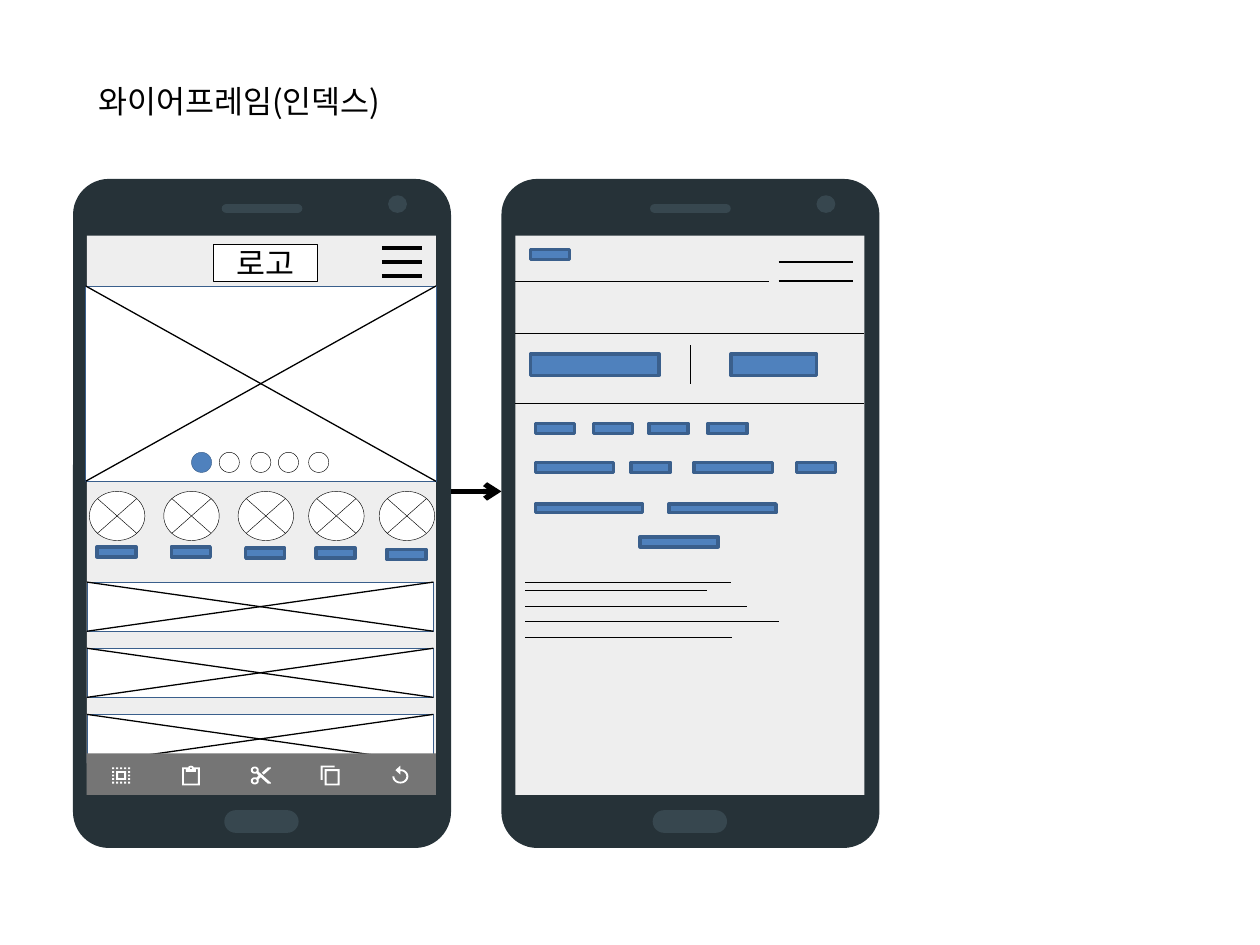
import math
from collections import namedtuple

from lxml import etree
from pptx import Presentation
from pptx.dml.color import RGBColor
from pptx.enum.shapes import MSO_CONNECTOR, MSO_SHAPE
from pptx.enum.text import MSO_ANCHOR, MSO_AUTO_SIZE, PP_ALIGN
from pptx.oxml.ns import qn
from pptx.util import Inches, Pt

RECT, OVAL = MSO_SHAPE.RECTANGLE, MSO_SHAPE.OVAL
ROUNDED, CROSSED = MSO_SHAPE.ROUNDED_RECTANGLE, MSO_SHAPE.FLOWCHART_SUMMING_JUNCTION
STRAIGHT = MSO_CONNECTOR.STRAIGHT
LEFT, CENTER = PP_ALIGN.LEFT, PP_ALIGN.CENTER
TOP, MIDDLE = MSO_ANCHOR.TOP, MSO_ANCHOR.MIDDLE
FIT_SHAPE, NO_FIT = MSO_AUTO_SIZE.SHAPE_TO_FIT_TEXT, MSO_AUTO_SIZE.NONE

BLACK, WHITE = RGBColor(0, 0, 0), RGBColor(255, 255, 255)
CASE, TRIM = RGBColor(0x26, 0x32, 0x38), RGBColor(0x37, 0x47, 0x4F)
SCREEN, TOOLBAR = RGBColor(0xEE, 0xEE, 0xEE), RGBColor(0x75, 0x75, 0x75)
BLUE, NAVY = RGBColor(0x4F, 0x81, 0xBD), RGBColor(0x3A, 0x5F, 0x8C)
FONT = "Noto Sans CJK KR"

Box = namedtuple("Box", "left top width height")


def inside(box, x, y, width, height):
    """Return a box placed at an offset from the corner of another box."""
    return Box(box.left + x, box.top + y, width, height)


def paint(shape, fill, line=None, weight=0.25):
    """Give a shape its fill and outline, without a shadow."""
    shape.shadow.inherit = False
    shape.fill.solid()
    shape.fill.fore_color.rgb = fill
    if line is None:
        shape.line.fill.background()
    else:
        shape.line.color.rgb = line
        shape.line.width = Pt(weight)


def add_part(shapes, kind, box, fill, line=None, weight=0.25):
    """Add a painted preset shape that fills a box."""
    shape = shapes.add_shape(kind, *map(Inches, box))
    paint(shape, fill, line, weight)
    return shape


def add_line(shapes, start, end, weight):
    """Add a straight black line between two points."""
    line = shapes.add_connector(STRAIGHT, *map(Inches, (*start, *end)))
    line.line.color.rgb = BLACK
    line.line.width = Pt(weight)
    etree.SubElement(line._element.spPr, qn("a:effectLst"))
    return line


def write(shape, text, align, frame_format):
    """Write one line of text with the font of the page."""
    frame = shape.text_frame
    for name, value in frame_format.items():
        setattr(frame, name, value)
    para = frame.paragraphs[0]
    para.alignment = align
    span = para.add_run()
    span.text = text
    for name, value in {"size": Pt(18), "name": FONT, "bold": False}.items():
        setattr(span.font, name, value)
    span.font.color.rgb = BLACK
    etree.SubElement(span._r.get_or_add_rPr(), qn("a:ea"), typeface=FONT)


def add_title(page, box):
    """Move the title placeholder into a box and fill it."""
    title = page.shapes.title
    for name, value in zip(box._fields, box):
        setattr(title, name, Inches(value))
    write(title, "와이어프레임(인덱스)", LEFT,
          {"word_wrap": False, "vertical_anchor": TOP, "auto_size": FIT_SHAPE})


def add_phone(shapes, box):
    """Draw a phone in a box and return the box of its screen."""
    for x, y, width, height, fill, rounding in (
            (0, 0, box.width, box.height, CASE, 0.095),
            (1.2, 5.01, 0.59, 0.18, TRIM, 0.5),
            (1.18, 0.2, 0.64, 0.07, TRIM, 0.5)):
        part = add_part(shapes, ROUNDED, inside(box, x, y, width, height), fill)
        part.adjustments[0] = rounding
    add_part(shapes, OVAL, inside(box, 2.5, 0.13, 0.15, 0.14), TRIM)
    screen = inside(box, 0.11, 0.45, 2.77, 4.44)
    add_part(shapes, RECT, screen, SCREEN)
    return screen


def add_image_box(shapes, box):
    """Draw a white box crossed by its two diagonals."""
    add_part(shapes, RECT, box, WHITE, NAVY)
    right, bottom = box.left + box.width, box.top + box.height
    add_line(shapes, (box.left, box.top), (right, bottom), 0.75)
    add_line(shapes, (box.left, bottom), (right, box.top), 0.75)


def add_label(shapes, box):
    """Draw a blue bar that stands for a label."""
    add_part(shapes, RECT, box, BLUE, NAVY, 2)


def block(left, top, right, bottom):
    """Return the corners of a rectangle on the icon grid."""
    return [(left, top), (right, top), (right, bottom), (left, bottom)]


def arc(x, y, radius, start=0, end=360):
    """Return points along an arc on the icon grid, angles in degrees."""
    angles = [math.radians(start + (end - start) * step / 24) for step in range(25)]
    return [(x + radius * math.cos(a), y + radius * math.sin(a)) for a in angles]


def toolbar_icons():
    """Return the outlines of the five toolbar icons on a grid of 24 units."""
    steps = range(3, 20, 4)
    dots = [block(x, y, x + 2, y + 2) for x in steps for y in steps
            if x in (3, 19) or y in (3, 19)]
    select = dots + [block(7, 7, 17, 17), block(9, 9, 15, 15)]
    paste = [[(3, 3), (9.2, 3), (10, 1.6), (12, 1), (14, 1.6), (14.8, 3),
              (21, 3), (21, 23), (3, 23)],
             [(5, 5), (7, 5), (7, 8), (17, 8), (17, 5), (19, 5), (19, 21), (5, 21)],
             arc(12, 4, 1)]
    cut = [arc(6, y, radius) for y in (6, 18) for radius in (4, 2)]
    cut += [[(9.64, 7.64), (22, 20), (22, 21), (19, 21), (12, 14), (9.64, 16.36),
             (7.64, 14.36), (10, 12), (7.64, 9.64)],
            [(19, 3), (13, 9), (15, 11), (22, 4), (22, 3)]]
    duplicate = [[(16, 1), (2, 1), (2, 17), (4, 17), (4, 3), (16, 3)],
                 block(6, 5, 21, 23), block(8, 7, 19, 21)]
    replay = [[(12, 1), (7, 6), (12, 11)] + arc(12, 13, 6, -90, 180)
              + arc(12, 13, 8, 180, -90)]
    return select, paste, cut, duplicate, replay


def add_icon(shapes, box, outlines):
    """Draw the outlines of an icon in white, scaled to a box."""
    scaled = [[(Inches(box.left + x * box.width / 24), Inches(box.top + y * box.height / 24))
               for x, y in outline] for outline in outlines]
    builder = shapes.build_freeform(*scaled[0][0])
    for number, outline in enumerate(scaled):
        if number:
            builder.move_to(*outline[0])
        builder.add_line_segments(outline[1:], close=True)
    paint(builder.convert_to_shape(), WHITE)


def add_toolbar(shapes, box):
    """Draw the grey bar with its evenly spaced icons."""
    add_part(shapes, RECT, box, TOOLBAR)
    pitch = box.width / 5
    for column, outlines in enumerate(toolbar_icons()):
        add_icon(shapes, inside(box, (column + 0.5) * pitch - 0.1, 0.09, 0.19, 0.17), outlines)


def add_home(shapes, box):
    """Fill the first screen: header, hero, categories, banners and toolbar."""
    logo = add_part(shapes, RECT, inside(box, 1, 0.07, 0.83, 0.29), WHITE, BLACK)
    write(logo, "로고", CENTER, {"vertical_anchor": MIDDLE, "auto_size": NO_FIT})
    for row in range(3):
        y = box.top + 0.1 + row * 0.11
        add_line(shapes, (box.left + 2.34, y), (box.left + 2.66, y), 2.25)
    add_image_box(shapes, inside(box, -0.01, 0.4, 2.78, 1.55))
    for number, x in enumerate((0.83, 1.05, 1.3, 1.52, 1.76)):
        fill, line = (WHITE, BLACK) if number else (BLUE, NAVY)
        add_part(shapes, OVAL, inside(box, x, 1.72, 0.16, 0.16), fill, line)
    for x, label_top in ((0.02, 2.47), (0.61, 2.47), (1.2, 2.48), (1.76, 2.48), (2.32, 2.49)):
        add_part(shapes, CROSSED, inside(box, x, 2.03, 0.44, 0.39), WHITE, BLACK)
        add_label(shapes, inside(box, x + 0.06, label_top, 0.31, 0.08))
    for row in range(3):
        add_image_box(shapes, inside(box, 0, 2.75 + row * 0.525, 2.75, 0.39))
    add_toolbar(shapes, inside(box, 0, 4.11, 2.77, 0.33))


def add_detail(shapes, box):
    """Fill the second screen with its rules, labels and text lines."""
    for x, y, length, weight in (
            (0, 0.36, 2.01, 0.5), (2.09, 0.36, 0.59, 1), (2.09, 0.21, 0.59, 1),
            (0, 0.78, 2.77, 0.5), (0, 1.33, 2.77, 0.5),
            (0.08, 2.75, 1.63, 0.5), (0.08, 2.82, 1.44, 0.5), (0.08, 2.94, 1.76, 0.5),
            (0.08, 3.06, 2.01, 0.5), (0.08, 3.19, 1.64, 0.5)):
        start = box.left + x, box.top + y
        add_line(shapes, start, (start[0] + length, start[1]), weight)
    add_line(shapes, (box.left + 1.39, box.top + 0.87), (box.left + 1.39, box.top + 1.18), 0.75)
    for y, height, labels in (
            (0.11, 0.08, ((0.12, 0.31),)),
            (0.94, 0.17, ((0.12, 1.02), (1.71, 0.68))),
            (1.49, 0.08, ((0.16, 0.31), (0.62, 0.31), (1.06, 0.31), (1.53, 0.31))),
            (1.8, 0.08, ((0.16, 0.62), (0.92, 0.31), (1.42, 0.62), (2.23, 0.31))),
            (2.13, 0.07, ((0.16, 0.85), (1.22, 0.85))),
            (2.39, 0.08, ((0.99, 0.62),))):
        for x, width in labels:
            add_label(shapes, inside(box, x, y, width, height))


def main():
    """Build the wireframe page and save the deck."""
    deck = Presentation()
    deck.slide_width, deck.slide_height = Inches(10), Inches(7.5)
    page = deck.slides.add_slide(deck.slide_layouts[5])
    add_title(page, Box(0.68, 0.6, 2.63, 0.4))
    for left, fill_screen in ((0.58, add_home), (3.98, add_detail)):
        shapes = page.shapes.add_group_shape().shapes
        fill_screen(shapes, add_phone(shapes, Box(left, 1.42, 3, 5.31)))
    arrow = add_line(page.shapes, (3.58, 3.9), (3.98, 3.9), 3)
    etree.SubElement(arrow.line._get_or_add_ln(), qn("a:tailEnd"), type="arrow")
    deck.save("out.pptx")


if __name__ == "__main__":
    main()
